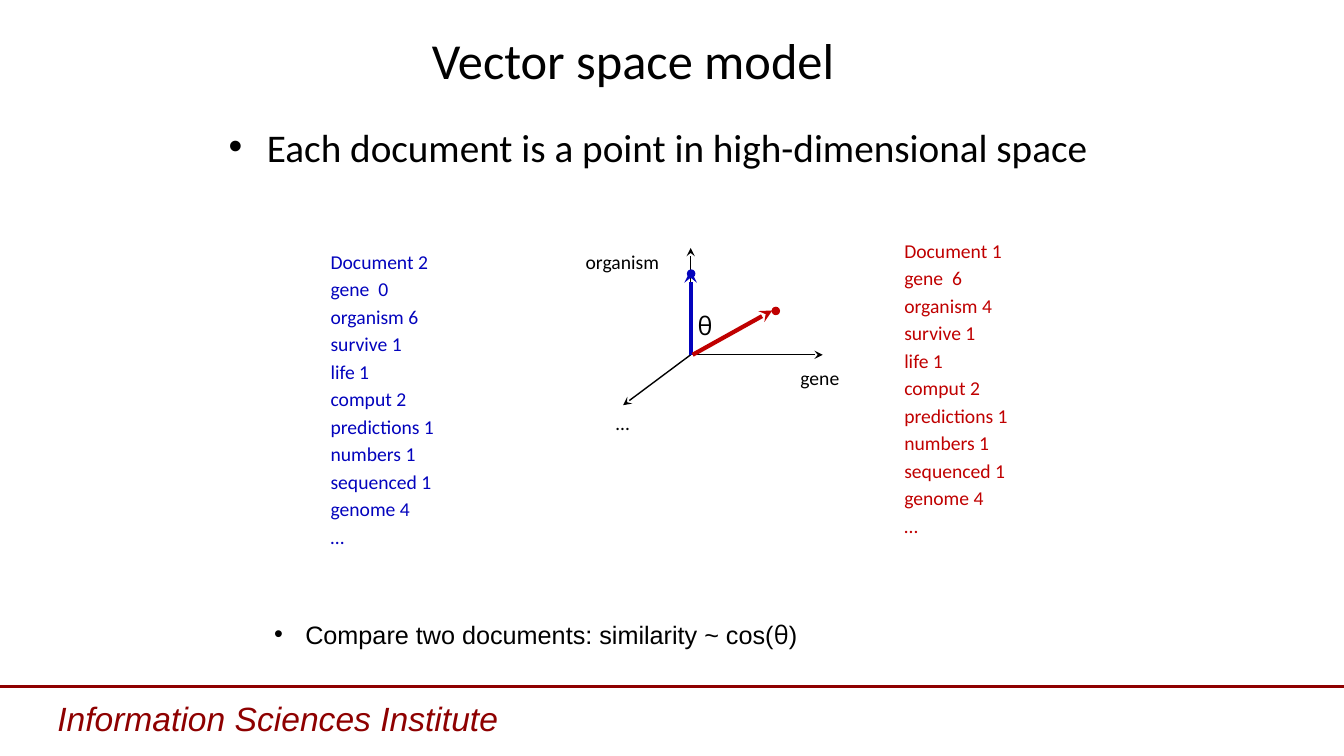
from pptx import Presentation
from pptx.dml.color import RGBColor
from pptx.enum import shapes, text
from pptx.oxml.ns import qn
from pptx.util import Inches, Pt
from lxml import etree

BLACK = RGBColor(0, 0, 0)
BLUE = RGBColor(0x03, 0x03, 0xBD)
RED = RGBColor(0xC0, 0, 0)
MAROON = RGBColor(0x8E, 0, 0)

ORIGIN = (6.85, 3.52)
TERMS = ("gene ", "organism", "survive", "life", "comput", "predictions",
         "numbers", "sequenced", "genome")


def bullet(para, indent):
    props = para._p.get_or_add_pPr()
    props.set("marL", str(Inches(indent)))
    props.set("indent", str(-Inches(indent)))
    etree.SubElement(props, qn("a:buFont"), typeface="Arial")
    etree.SubElement(props, qn("a:buChar"), char="•")


def write(frame, lines, size=14, font="Calibri", color=BLACK, italic=False,
          align=None, gap=0, indent=0):
    """Each line is a string or a list of (string, font) pairs."""
    frame.word_wrap = True
    for i, line in enumerate(lines):
        para = frame.paragraphs[0] if i == 0 else frame.add_paragraph()
        if indent:
            bullet(para, indent)
        if align is not None:
            para.alignment = align
        para.space_before = Pt(gap if i else 0)
        parts = [(line, font)] if isinstance(line, str) else line
        for words, face in parts:
            run = para.add_run()
            run.text = words
            run.font.name = face
            run.font.size = Pt(size)
            run.font.italic = italic
            run.font.color.rgb = color


def label(slide, box, *lines, **style):
    shape = slide.shapes.add_textbox(*map(Inches, box))
    write(shape.text_frame, lines, **style)


def line(slide, start, end, color=BLACK, width=1, arrow=True):
    link = slide.shapes.add_connector(
        shapes.MSO_CONNECTOR.STRAIGHT, *map(Inches, start + end))
    link.line.color.rgb = color
    link.line.width = Pt(width)
    if arrow:
        etree.SubElement(link.line._get_or_add_ln(), qn("a:tailEnd"),
                         type="stealth")
    etree.SubElement(link._element.spPr, qn("a:effectLst"))


def dot(slide, left, top, color, size=0.07):
    shape = slide.shapes.add_shape(
        shapes.MSO_SHAPE.FLOWCHART_CONNECTOR,
        *map(Inches, (left, top, size, size)))
    shape.shadow.inherit = False
    shape.fill.solid()
    shape.fill.fore_color.rgb = color
    shape.line.color.rgb = color
    shape.line.width = Pt(1)


def counts(slide, left, top, name, values, color):
    rows = [f"{term} {value}" for term, value in zip(TERMS, values)]
    label(slide, (left, top, 1.78, 2.83), name, *rows, "…",
          color=color, gap=2.8)


def main():
    deck = Presentation()
    deck.slide_width, deck.slide_height = Inches(13.33), Inches(7.5)
    slide = deck.slides.add_slide(deck.slide_layouts[5])

    # Footer band
    line(slide, (0, 6.81), (13.33, 6.81), MAROON, 2.25, arrow=False)
    label(slide, (0.47, 6.87, 6.57, 0.51), "Information Sciences Institute",
          size=24, font="Arial", color=MAROON, italic=True)

    # Title and main point
    title = slide.shapes.title
    title.left, title.top = Inches(0.67), Inches(0.24)
    title.width, title.height = Inches(11.22), Inches(0.7)
    title.text_frame.vertical_anchor = text.MSO_ANCHOR.MIDDLE
    write(title.text_frame, ["Vector space model"], size=36,
          align=text.PP_ALIGN.CENTER)
    label(slide, (2.17, 1.17, 9, 1.19),
          "Each document is a point in high-dimensional space",
          size=28, indent=0.38)

    # Term counts
    counts(slide, 8.87, 2.32, "Document 1", (6, 4, 1, 1, 2, 1, 1, 1, 4), RED)
    counts(slide, 3.18, 2.43, "Document 2", (0, 6, 1, 1, 2, 1, 1, 1, 4), BLUE)

    # Axes
    for tip in ((8.16, 3.52), (6.18, 4.02), (6.85, 2.46)):
        line(slide, ORIGIN, tip)
    label(slide, (7.84, 3.58, 0.8, 0.34), "gene")
    label(slide, (5.71, 2.43, 1, 0.34), "organism")
    label(slide, (6.01, 4.03, 0.4, 0.34), "…")

    # Document vectors
    dot(slide, 7.66, 3.05, RED)
    dot(slide, 6.82, 2.68, BLUE)
    line(slide, ORIGIN, (6.85, 2.68), BLUE, 3)
    line(slide, (6.87, 3.52), (7.66, 3.08), RED, 3)
    label(slide, (6.82, 3.03, 0.4, 0.4), "θ", size=18, font="Open Sans")

    # Similarity
    label(slide, (2.62, 6.09, 5.8, 0.4),
          [("Compare two documents: similarity ~ cos(", "Arial"),
           ("θ", "Open Sans"), (")", "Arial")],
          size=18, indent=0.31)

    deck.save("out.pptx")


if __name__ == "__main__":
    main()
